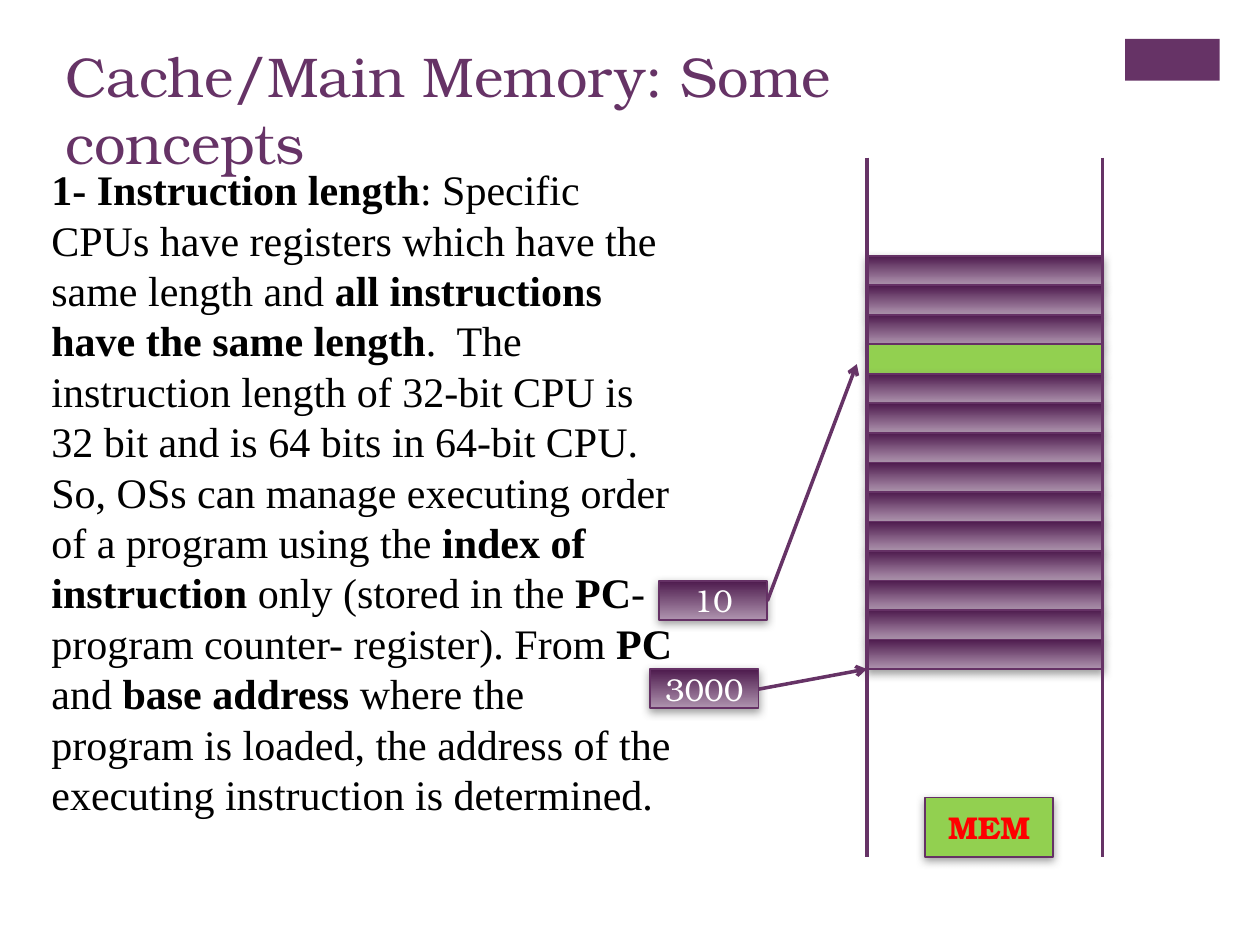
from lxml import etree
from pptx import Presentation
from pptx.dml.color import RGBColor
from pptx.enum.shapes import MSO_CONNECTOR, MSO_SHAPE
from pptx.enum.text import MSO_ANCHOR, PP_ALIGN
from pptx.oxml.ns import qn
from pptx.util import Inches, Pt

COLORS = {
    "purple": "663366", "border": "653165", "dark": "4D1A4D", "light": "AF94AF",
    "green": "92D050", "red": "FF0000", "white": "FFFFFF", "black": "000000",
    "shadow": "808080",
}
HEADING_FONT = "TeX Gyre Bonum"
BODY_FONT = "Times New Roman"

# Each run: text, bold
EXPLANATION = [
    ("1- Instruction length", True),
    (": Specific CPUs have registers which have the same length and ", False),
    ("all instructions have the same length", True),
    (".  The instruction length of 32-bit CPU is 32 bit and is 64 bits in 64-bit CPU. "
     "So, OSs can manage executing order of a program using the ", False),
    ("index of instruction", True),
    (" only (stored in the ", False),
    ("PC", True),
    ("- program counter- register). From ", False),
    ("PC", True),
    (" and ", False),
    ("base address", True),
    (" where the program is loaded, the address of the executing instruction "
     "is determined.", False),
]


def rgb(name):
    return RGBColor.from_string(COLORS[name])


def add_run(paragraph, text, font, size, color, bold=False):
    run = paragraph.add_run()
    run.text = text
    run.font.name = font
    run.font.size = Pt(size)
    run.font.bold = bold
    run.font.color.rgb = rgb(color)


def add_text_area(slide, left, top, width, height, anchor):
    area = slide.shapes.add_textbox(Inches(left), Inches(top), Inches(width), Inches(height))
    area.text_frame.word_wrap = True
    area.text_frame.vertical_anchor = anchor
    return area.text_frame.paragraphs[0]


def add_shadow(shape):
    shape.shadow.inherit = False
    effects = shape._element.spPr.find(qn("a:effectLst"))
    outer = etree.SubElement(effects, qn("a:outerShdw"), blurRad=str(Pt(5)),
                             dist=str(Pt(2)), dir="5400000", rotWithShape="0")
    color = etree.SubElement(outer, qn("a:srgbClr"), val=COLORS["shadow"])
    etree.SubElement(color, qn("a:alpha"), val="75000")


def add_block(slide, left, top, width, height, fill=None, label="",
              label_color="white", bold=False):
    """Shadowed box: a purple gradient unless a plain fill is named."""
    block = slide.shapes.add_shape(MSO_SHAPE.RECTANGLE, Inches(left), Inches(top),
                                   Inches(width), Inches(height))
    if fill:
        block.fill.solid()
        block.fill.fore_color.rgb = rgb(fill)
    else:
        block.fill.gradient()
        block.fill.gradient_angle = 270
        for stop, position, color in zip(block.fill.gradient_stops, (0, 1), ("dark", "light")):
            stop.position = position
            stop.color.rgb = rgb(color)
    block.line.color.rgb = rgb("border")
    block.line.width = Pt(1)
    add_shadow(block)
    if label:
        frame = block.text_frame
        frame.vertical_anchor = MSO_ANCHOR.MIDDLE
        frame.paragraphs[0].alignment = PP_ALIGN.CENTER
        add_run(frame.paragraphs[0], label, HEADING_FONT, 18, label_color, bold)


def add_line(slide, start, end, arrow=False):
    line = slide.shapes.add_connector(MSO_CONNECTOR.STRAIGHT,
                                      *(Inches(value) for value in (*start, *end)))
    line.line.color.rgb = rgb("purple")
    line.line.width = Pt(2)
    if arrow:
        etree.SubElement(line.line._get_or_add_ln(), qn("a:tailEnd"), type="arrow")
    etree.SubElement(line._element.spPr, qn("a:effectLst"))


def add_header(slide, left, top, width, height):
    # Corner accent
    accent = slide.shapes.add_shape(MSO_SHAPE.RECTANGLE, Inches(left + width - 0.75),
                                    Inches(top + 0.06), Inches(0.75), Inches(0.33))
    accent.fill.solid()
    accent.fill.fore_color.rgb = rgb("purple")
    accent.line.fill.background()
    accent.shadow.inherit = False
    # Title
    title = add_text_area(slide, left, top, 8.26, height, MSO_ANCHOR.MIDDLE)
    add_run(title, "Cache/Main Memory: Some concepts", HEADING_FONT, 32, "purple")


def add_explanation(slide, left, top, width, height):
    paragraph = add_text_area(slide, left, top, width, height, MSO_ANCHOR.TOP)
    for text, bold in EXPLANATION:
        add_run(paragraph, text, BODY_FONT, 24, "black", bold)


def add_memory(slide, left, top, width, height, cells=14, current=3):
    # Instruction cells, the current one in green
    cell_height = 3.28 / cells
    first_cell = top + 0.78
    for index in range(cells):
        add_block(slide, left, first_cell + index * cell_height, width, cell_height,
                  "green" if index == current else None)
    # Side walls
    for x in (left, left + width):
        add_line(slide, (x, top), (x, top + height))
    # Base address and instruction index, each with its arrow
    pointers = [
        ("3000", left - 1.72, top + 4.06, (left, top + 4.06)),
        ("10", left - 1.65, top + 3.36, (left - 0.08, top + 1.64)),
    ]
    for label, x, y, target in pointers:
        add_block(slide, x, y, 0.86, 0.31, label=label)
        add_line(slide, (x + 0.86, y + 0.16), target, arrow=True)
    # Memory label
    add_block(slide, left + 0.46, top + height - 0.47, 1.02, 0.47, "green",
              "MEM", "red", bold=True)


def main():
    prs = Presentation()
    prs.slide_width, prs.slide_height = Inches(10), Inches(7.5)
    slide = prs.slides.add_slide(prs.slide_layouts[6])
    add_header(slide, 0.42, 0.25, 9.26, 1.22)
    add_explanation(slide, 0.31, 1.25, 5.16, 5.86)
    add_memory(slide, 6.88, 1.25, 1.87, 5.55)
    prs.save("out.pptx")


if __name__ == "__main__":
    main()
